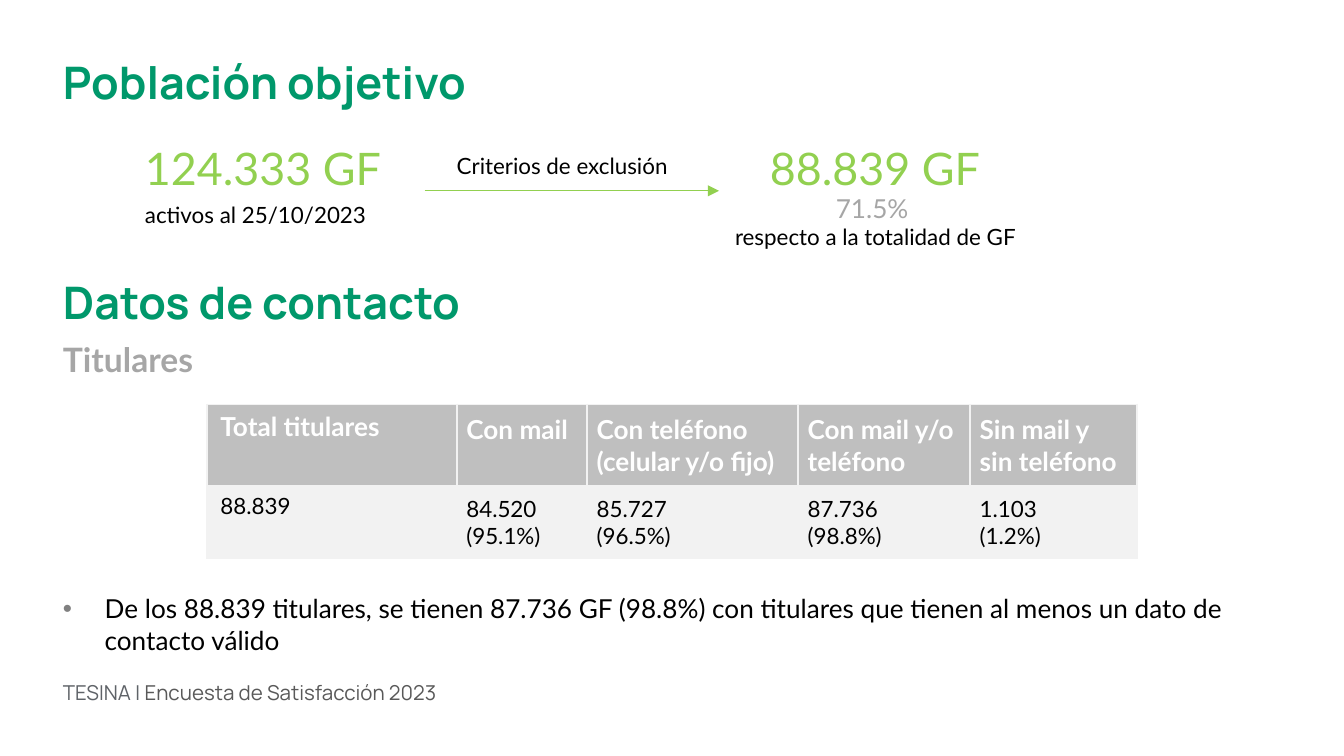
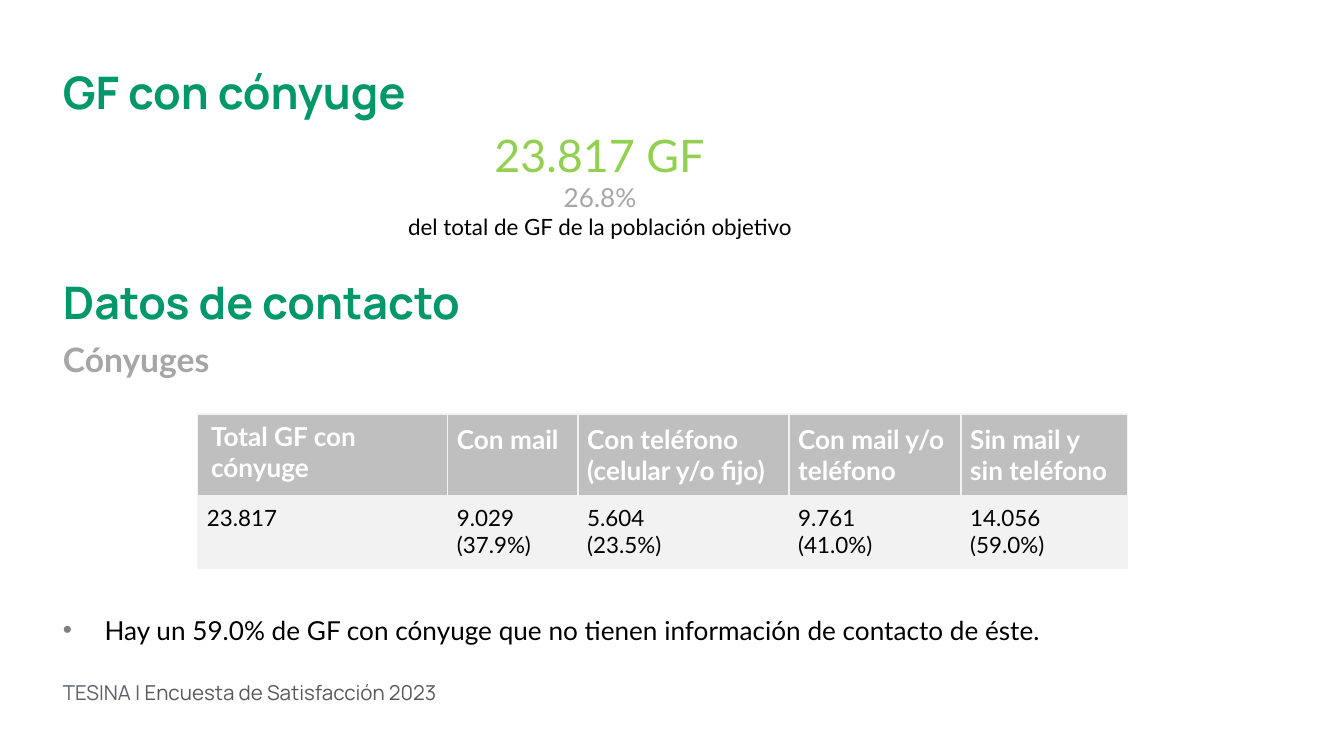
from lxml.etree import SubElement
from pptx import Presentation
from pptx.dml.color import RGBColor
from pptx.enum.shapes import MSO_CONNECTOR as Connector
from pptx.enum.text import MSO_AUTO_SIZE as AutoSize, PP_ALIGN as Align
from pptx.oxml import parse_xml
from pptx.oxml.ns import nsdecls, qn
from pptx.util import Inches, Pt

COLORS = {
    "title": "00986B", "figure": "92D050", "muted": "A6A6A6", "text": "000000",
    "header": "BFBFBF", "body": "F2F2F2", "white": "FFFFFF", "bullet": "808080",
    "footer_lead": "5F6368", "footer": "595959",
}
MARGIN = 0.37
COLUMN_WIDTHS = [1.86, 0.97, 1.57, 1.28, 1.24]
ROW_HEIGHTS = [0.6, 0.54]
CONTACT_HEADERS = ["Con mail", "Con teléfono (celular y/o fijo)",
                   "Con mail y/o teléfono", "Sin mail y sin teléfono"]

SLIDES = [
    {
        "title": "Población objetivo", "title_top": 0.31,
        "figures": [("124.333 GF", 0.98, 1, 1.97), ("88.839 GF", 5.63, 1, 1.78)],
        "labels": [("Criterios de exclusión", 3.3, 1.08),
                   ("activos al 25/10/2023", 0.98, 1.45)],
        "arrow": (3.16, 5.35, 1.42),
        "share": ("71.5% ", "respecto a la totalidad de GF"),
        "share_box": (5.35, 1.38, 2.33),
        "group": "Titulares", "group_width": 1.19,
        "table_at": (1.54, 3.01), "total_inset": 0.1,
        "total_header": "Total titulares",
        "values": ["88.839", "84.520\n(95.1%)", "85.727\n(96.5%)",
                   "87.736\n(98.8%)", "1.103\n(1.2%)"],
        "note": "De los 88.839 titulares, se tienen 87.736 GF (98.8%) con titulares "
                "que tienen al menos un dato de contacto válido",
        "note_top": 4.36, "note_height": 0.57,
    },
    {
        "title": "GF con cónyuge", "title_top": 0.38,
        "figures": [("23.817 GF", 3.58, 0.9, 1.78)],
        "labels": [],
        "arrow": None,
        "share": ("26.8%", "del total de GF de la población objetivo"),
        "share_box": (2.92, 1.3, 3.09),
        "group": "Cónyuges", "group_width": 1.3,
        "table_at": (1.47, 3.08), "total_inset": 0.07,
        "total_header": "Total GF con cónyuge",
        "values": ["23.817", "9.029\n(37.9%)", "5.604\n(23.5%)",
                   "9.761\n(41.0%)", "14.056\n(59.0%)"],
        "note": "Hay un 59.0% de GF con cónyuge que no tienen información de contacto de éste.",
        "note_top": 4.52, "note_height": 0.34,
    },
]


def add_frame(slide, left, top, width, height, inset=(0.1, 0.05), wrap=True):
    box = slide.shapes.add_textbox(Inches(left), Inches(top), Inches(width), Inches(height))
    frame = box.text_frame
    frame.word_wrap = wrap
    frame.auto_size = AutoSize.SHAPE_TO_FIT_TEXT
    frame.margin_left = frame.margin_right = Inches(inset[0])
    frame.margin_top = frame.margin_bottom = Inches(inset[1])
    return frame


def write(frame, text, size=12, color="text", font="Lato", bold=False, align=None):
    for index, line in enumerate(text.split("\n")):
        paragraph = frame.add_paragraph() if index else frame.paragraphs[-1]
        if align is not None:
            paragraph.alignment = align
        run = paragraph.add_run()
        run.text = line
        run.font.size = Pt(size)
        run.font.name = font
        run.font.bold = bold
        run.font.color.rgb = RGBColor.from_string(COLORS[color])


presentation = Presentation()
presentation.slide_width = Inches(10)
presentation.slide_height = presentation.slide_width * 9 // 16

for content in SLIDES:
    slide = presentation.slides.add_slide(presentation.slide_layouts[6])

    footer = add_frame(slide, MARGIN, 5.01, 5.38, 0.29)
    write(footer, "TESINA | ", size=11, color="footer_lead", font="Manrope")
    write(footer, "Encuesta de Satisfacción 2023", size=11, color="footer", font="Manrope")

    for title, top in [(content["title"], content["title_top"]), ("Datos de contacto", 1.94)]:
        frame = add_frame(slide, MARGIN, top, 7.78, 0.61, inset=(0.1, 0.1))
        write(frame, title, size=24, color="title", font="Manrope", bold=True)

    for label, left, top in content["labels"]:
        write(add_frame(slide, left, top, 2.45, 0.3), label)

    if content["arrow"]:
        start, end, top = content["arrow"]
        arrow = slide.shapes.add_connector(
            Connector.STRAIGHT, Inches(start), Inches(top), Inches(end), Inches(top))
        arrow.line.color.rgb = RGBColor.from_string(COLORS["figure"])
        arrow.line.width = Pt(0.75)
        line = arrow._element.spPr.find(qn("a:ln"))
        SubElement(line, qn("a:tailEnd"), type="triangle")
        SubElement(arrow._element.spPr, qn("a:effectLst"))

    share, share_label = content["share"]
    share_frame = add_frame(slide, *content["share_box"], 0.54)
    write(share_frame, share, size=14, color="muted", align=Align.CENTER)
    share_frame.add_paragraph()
    write(share_frame, share_label, align=Align.CENTER)

    for figure, left, top, width in content["figures"]:
        frame = add_frame(slide, left, top, width, 0.5, wrap=False)
        write(frame, figure, size=24, color="figure")

    group_frame = add_frame(slide, MARGIN, 2.47, content["group_width"], 0.4, wrap=False)
    write(group_frame, content["group"], size=18, color="muted", bold=True)

    rows = [[content["total_header"], *CONTACT_HEADERS], content["values"]]
    left, top = content["table_at"]
    table = slide.shapes.add_table(
        len(rows), len(COLUMN_WIDTHS), Inches(left), Inches(top),
        Inches(sum(COLUMN_WIDTHS)), Inches(sum(ROW_HEIGHTS))).table
    for column, width in zip(table.columns, COLUMN_WIDTHS):
        column.width = Inches(width)
    for row_index, values in enumerate(rows):
        is_header = row_index == 0
        table.rows[row_index].height = Inches(ROW_HEIGHTS[row_index])
        for column_index, value in enumerate(values):
            cell = table.cell(row_index, column_index)
            inset = 0.07
            if column_index == 0:
                inset = 0.1 if is_header else content["total_inset"]
            cell.margin_left = cell.margin_right = Inches(inset)
            cell.margin_top = cell.margin_bottom = Inches(0.05 if inset == 0.1 else 0.07)
            write(cell.text_frame, value, size=14 if is_header else 12,
                  color="white" if is_header else "text", bold=is_header)
            properties = cell._tc.get_or_add_tcPr()
            for side in ("lnL", "lnR", "lnT", "lnB"):
                properties.append(parse_xml(
                    f'<a:{side} {nsdecls("a")} w="12700"><a:solidFill>'
                    f'<a:srgbClr val="{COLORS["body"]}"/></a:solidFill></a:{side}>'))
            cell.fill.solid()
            cell.fill.fore_color.rgb = RGBColor.from_string(
                COLORS["header" if is_header else "body"])

    note_frame = add_frame(slide, MARGIN, content["note_top"], 9.12, content["note_height"])
    write(note_frame, content["note"], size=14)
    properties = note_frame.paragraphs[0]._p.get_or_add_pPr()
    properties.set("marL", str(Inches(0.31)))
    properties.set("indent", str(-Inches(0.31)))
    bullet_color = SubElement(properties, qn("a:buClr"))
    SubElement(bullet_color, qn("a:srgbClr"), val=COLORS["bullet"])
    SubElement(properties, qn("a:buFont"), typeface="Arial")
    SubElement(properties, qn("a:buChar"), char="•")

presentation.save("out.pptx")
